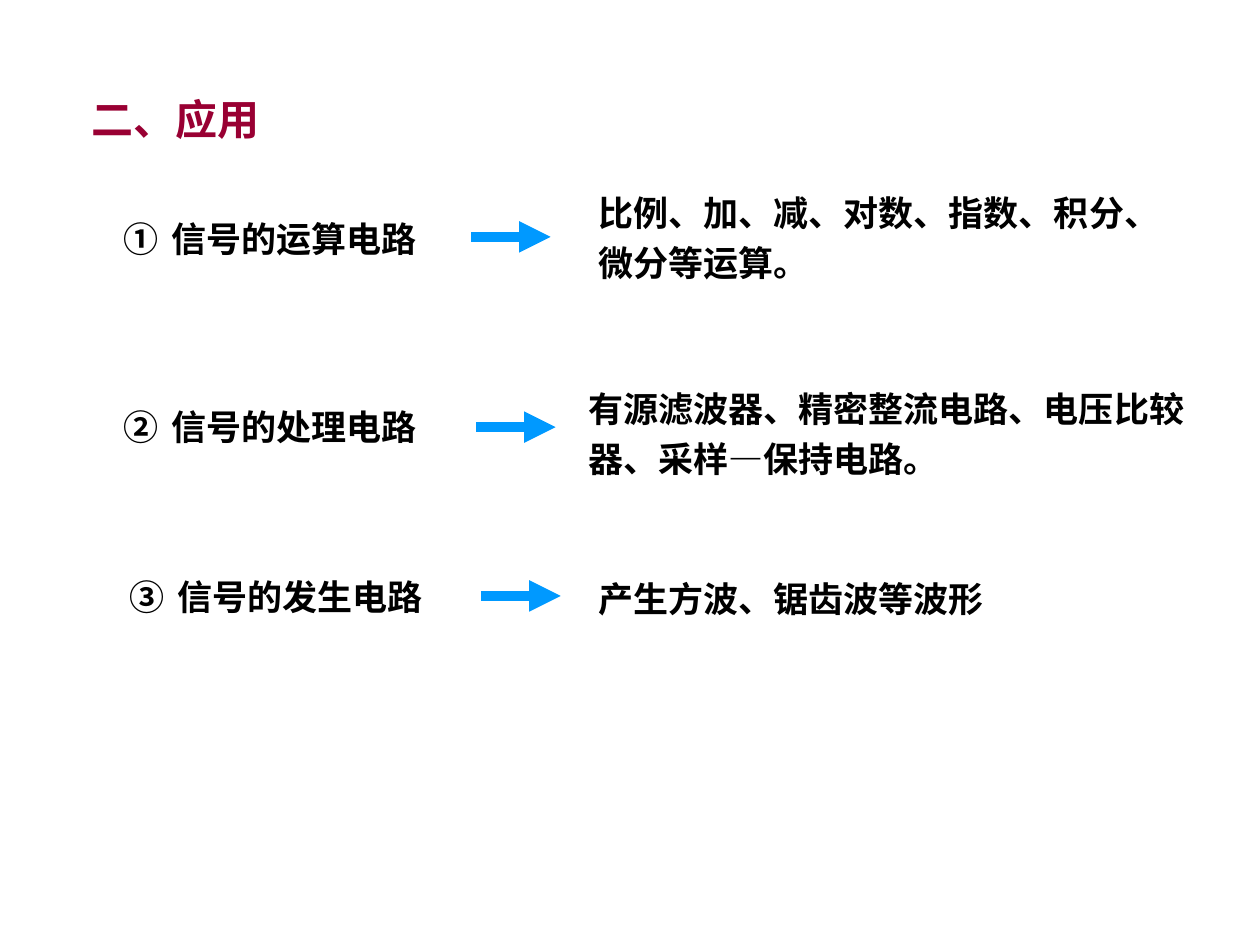
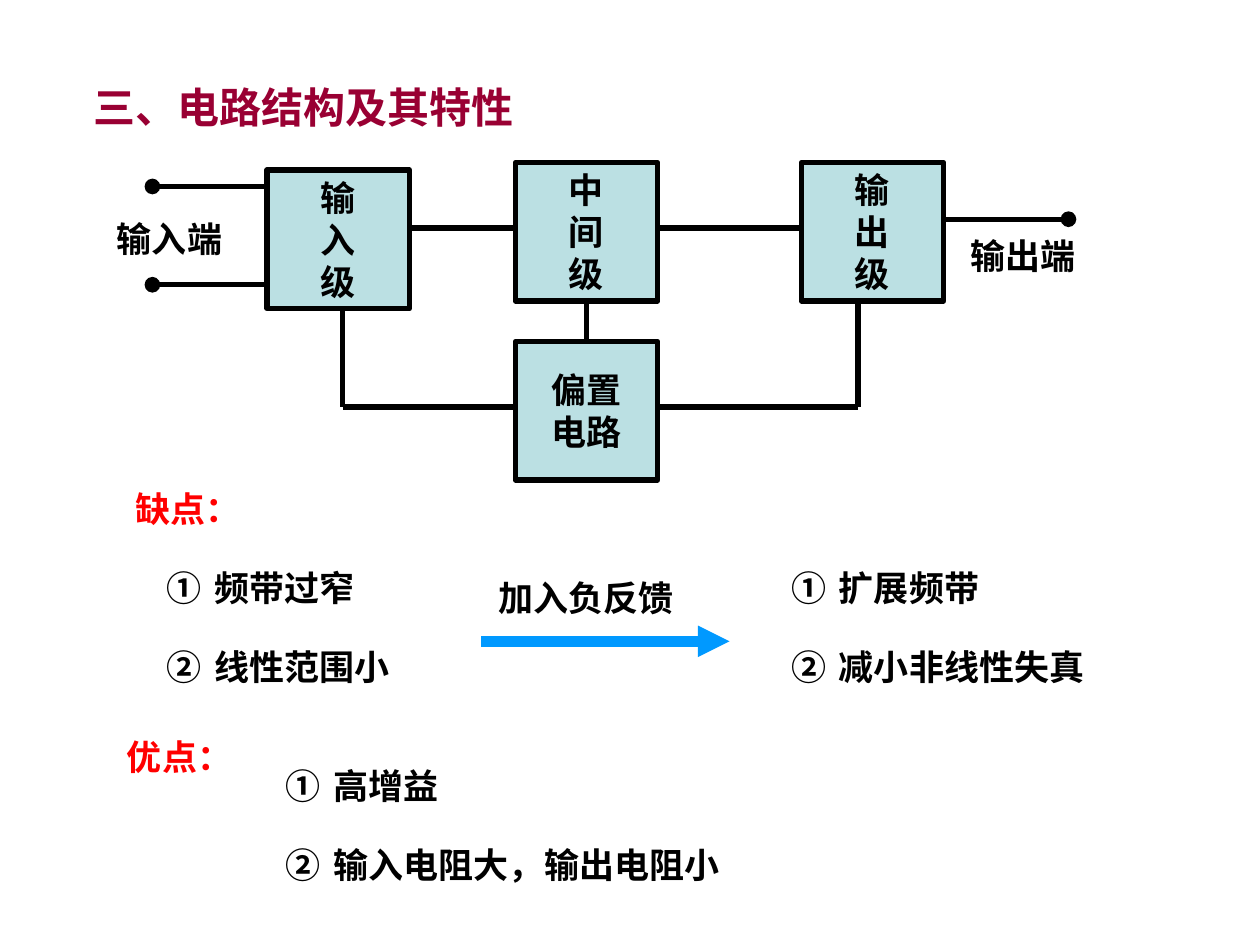
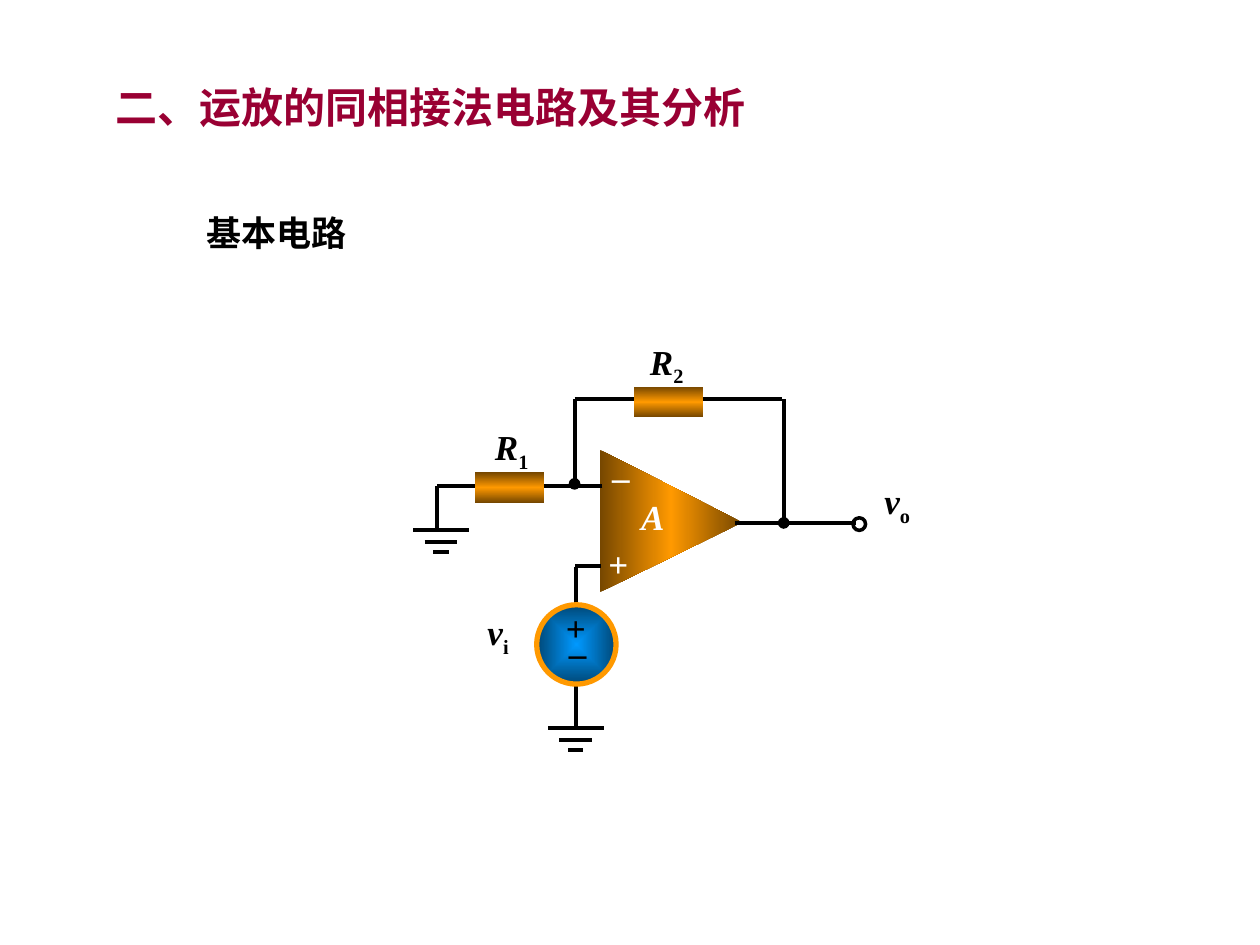
"""Three slides on operational amplifiers: uses, structure and the non-inverting circuit."""
from lxml import etree
from pptx import Presentation
from pptx import util as u
from pptx.dml.color import RGBColor
from pptx.enum import shapes, text
from pptx.oxml import parse_xml
from pptx.oxml.ns import nsdecls, qn

BLACK = RGBColor(0x00, 0x00, 0x00)
WHITE = RGBColor(0xFF, 0xFF, 0xFF)
RED = RGBColor(0xFF, 0x00, 0x00)
CRIMSON = RGBColor(0x99, 0x00, 0x33)
BLUE = RGBColor(0x00, 0x99, 0xFF)
NAVY = RGBColor(0x00, 0x47, 0x76)
PALE = RGBColor(0xBB, 0xE0, 0xE3)
ORANGE = RGBColor(0xFF, 0x99, 0x00)
BROWN = RGBColor(0x76, 0x47, 0x00)
SANS, SERIF, CHINESE = "Arial", "Times New Roman", "Noto Sans CJK SC"
LEFT, CENTER = text.PP_ALIGN.LEFT, text.PP_ALIGN.CENTER
TOP, MIDDLE = text.MSO_ANCHOR.TOP, text.MSO_ANCHOR.MIDDLE
GROW, FIXED = text.MSO_AUTO_SIZE.SHAPE_TO_FIT_TEXT, text.MSO_AUTO_SIZE.NONE
HANG = u.Inches(0.38)
SPACED = 1.2


def write(box, lines, color=BLACK, font=SANS, size=20, align=LEFT, anchor=TOP, spacing=None,
          number=0, wrap=True, fit=GROW, italic=False, subscript=""):
    frame = box.text_frame
    frame.word_wrap, frame.auto_size, frame.vertical_anchor = wrap, fit, anchor
    for index, line in enumerate(lines):
        para = frame.add_paragraph() if index else frame.paragraphs[0]
        para.alignment = align
        if spacing:
            para.line_spacing = spacing
        if number:
            props = para._p.get_or_add_pPr()
            props.set("marL", str(HANG))
            props.set("indent", str(-HANG))
            etree.SubElement(props, qn("a:buAutoNum"), type="circleNumDbPlain", startAt=str(number))
        for content, is_subscript in ((line, False), (subscript, True)):
            if content:
                span = para.add_run()
                span.text = content
                span.font.name, span.font.size, span.font.bold = font, u.Pt(size), True
                span.font.italic = italic and not is_subscript
                span.font.color.rgb = color
                if is_subscript:
                    span._r.get_or_add_rPr().set("baseline", "-25000")


def wire(page, start, end, color=BLACK, width=3, tip=None):
    line = page.shapes.add_connector(shapes.MSO_CONNECTOR.STRAIGHT, *map(u.Inches, start + end))
    line.line.color.rgb = color
    line.line.width = u.Pt(width)
    if tip:
        etree.SubElement(line.line._get_or_add_ln(), qn("a:tailEnd"), type=tip)
    etree.SubElement(line._element.spPr, qn("a:effectLst"))
    return line


deck = Presentation()
deck.slide_width, deck.slide_height = u.Inches(10), u.Inches(7.5)
pages = []
for heading, left, top in (
    ("二、应用", 0.63, 0.69),
    ("三、电路结构及其特性", 0.64, 0.6),
    ("二、运放的同相接法电路及其分析", 0.82, 0.6),
):
    page = deck.slides.add_slide(deck.slide_layouts[5])
    title = page.shapes.title
    title.left, title.top, title.width, title.height = map(u.Inches, (left, top, 6.23, 0.5))
    write(title, [heading], CRIMSON, SERIF, 24)
    pages.append(page)
uses, structure, circuit = pages

for number, (name, name_at, arrow_at, detail, detail_at) in enumerate((
    ("信号的运算电路", (0.88, 1.61), (3.74, 1.88),
     "比例、加、减、对数、指数、积分、微分等运算。", (4.65, 1.4, 4.8, 0.91)),
    ("信号的处理电路", (0.88, 3.1), (3.78, 3.39),
     "有源滤波器、精密整流电路、电压比较器、采样—保持电路。", (4.57, 2.96, 4.96, 0.87)),
    ("信号的发生电路", (0.93, 4.45), (3.82, 4.73),
     "产生方波、锯齿波等波形", (4.65, 4.47, 4.88, 0.5)),
), 1):
    name_box = uses.shapes.add_textbox(*map(u.Inches, name_at + (2.86, 0.5)))
    write(name_box, [name], spacing=SPACED, number=number)
    wire(uses, arrow_at, (arrow_at[0] + 0.63, arrow_at[1]), BLUE, 6, "triangle")
    detail_box = uses.shapes.add_textbox(*map(u.Inches, detail_at))
    write(detail_box, [detail], spacing=SPACED)

stages = {}
for lines, left, top in (
    (("输", "入", "级"), 2.12, 1.35),
    (("偏置", "电路"), 4.09, 2.71),
    (("中", "间", "级"), 4.09, 1.29),
    (("输", "出", "级"), 6.36, 1.29),
):
    stage = structure.shapes.add_shape(
        shapes.MSO_SHAPE.RECTANGLE, *map(u.Inches, (left, top, 1.13, 1.1)))
    stage.shadow.inherit = False
    stage.fill.solid()
    stage.fill.fore_color.rgb = PALE
    stage.line.color.rgb = BLACK
    stage.line.width = u.Pt(3)
    write(stage, lines, align=CENTER, anchor=MIDDLE, wrap=False, fit=FIXED)
    stages["".join(lines)] = stage

for start, end, tip in (
    ((2.12, 1.48), (1.21, 1.48), "oval"),
    ((2.12, 2.26), (1.21, 2.26), "oval"),
    ((7.49, 1.74), (8.48, 1.74), "oval"),
    ((3.25, 1.81), (4.09, 1.81), None),
    ((5.22, 1.81), (6.36, 1.81), None),
    ((2.72, 2.45), (2.72, 3.23), None),
    ((2.72, 3.23), (4.09, 3.23), None),
    ((5.22, 3.23), (6.81, 3.23), None),
    ((6.81, 2.39), (6.81, 3.23), None),
):
    wire(structure, start, end, tip=tip)
bias_wire = wire(structure, (4.66, 2.39), (4.66, 2.71))
bias_wire.begin_connect(stages["中间级"], 2)
bias_wire.end_connect(stages["偏置电路"], 0)
wire(structure, (3.82, 5.09), (5.79, 5.09), BLUE, 6, "triangle")

for label, at, style in (
    ("输入端", (0.83, 1.68, 1.18, 0.44), {}),
    ("输出端", (7.6, 1.81, 1.18, 0.44), {}),
    ("加入负反馈", (3.47, 4.53, 2.36, 0.44), {"align": CENTER}),
    ("缺点：", (0.98, 3.75, 1.02, 0.5), {"color": RED, "spacing": SPACED}),
    ("优点：", (0.91, 5.72, 1.73, 0.5), {"color": RED, "spacing": SPACED}),
):
    write(structure.shapes.add_textbox(*map(u.Inches, at)), [label], **style)

for left, top, items in (
    (1.22, 4.38, ("频带过窄", "线性范围小")),
    (6.18, 4.38, ("扩展频带", "减小非线性失真")),
    (2.17, 5.95, ("高增益", "输入电阻大，输出电阻小")),
):
    for row, item in enumerate(items):
        at = (left, top + row * 0.63, 3.75, 0.5)
        write(structure.shapes.add_textbox(*map(u.Inches, at)), [item],
              spacing=SPACED, number=row + 1)

subtitle = circuit.shapes.add_textbox(*map(u.Inches, (1.54, 1.56, 4.96, 0.45)))
write(subtitle, ["基本电路"], font=CHINESE, spacing=SPACED)

METAL = ((0, BROWN), (50, ORANGE), (100, BROWN))
GLOW = ((0, BLUE), (100, NAVY))
LINEAR = '<a:lin ang="5400000" scaled="1"/>'
RADIAL = '<a:path path="shape"><a:fillToRect l="50000" t="50000" r="50000" b="50000"/></a:path>'
parts = []
for kind, at, stops, direction in (
    (shapes.MSO_SHAPE.ISOSCELES_TRIANGLE, (4.76, 3.57, 1.13, 1.13), METAL, LINEAR),
    (shapes.MSO_SHAPE.RECTANGLE, (3.77, 3.75, 0.55, 0.24), METAL, LINEAR),
    (shapes.MSO_SHAPE.RECTANGLE, (5.03, 3.07, 0.55, 0.24), METAL, LINEAR),
    (shapes.MSO_SHAPE.OVAL, (4.26, 4.8, 0.63, 0.63), GLOW, RADIAL),
    (shapes.MSO_SHAPE.OVAL, (6.77, 4.11, 0.1, 0.1), None, None),
):
    part = circuit.shapes.add_shape(kind, *map(u.Inches, at))
    part.shadow.inherit = False
    part.line.fill.background()
    part.fill.background()
    if stops:
        marks = "".join(f'<a:gs pos="{share * 1000}"><a:srgbClr val="{color}"/></a:gs>'
                        for share, color in stops)
        gradient = parse_xml(f'<a:gradFill {nsdecls("a")} rotWithShape="1">'
                             f'<a:gsLst>{marks}</a:gsLst>{direction}</a:gradFill>')
        props = part._element.spPr
        props.replace(props.find(qn("a:noFill")), gradient)
    parts.append(part)
amplifier, input_resistor, feedback_resistor, source, terminal = parts
amplifier.rotation = 90
amplifier.adjustments[0] = 0.51
for ring, color, width in ((source, ORANGE, 3), (terminal, BLACK, 2)):
    ring.line.color.rgb = color
    ring.line.width = u.Pt(width)

wires = [
    ((4.77, 4.49), (4.56, 4.49), None),
    ((4.78, 3.86), (3.47, 3.86), None),
    ((5.83, 4.15), (6.79, 4.15), None),
    ((4.56, 3.17), (6.21, 3.17), None),
    ((6.22, 3.17), (6.22, 4.15), "oval"),
    ((4.56, 3.17), (4.56, 3.84), "oval"),
    ((3.47, 3.86), (3.47, 4.21), None),
    ((4.57, 4.5), (4.57, 5.78), None),
]
for center, top in ((3.5, 4.21), (4.57, 5.78)):
    for half, drop in ((0.22, 0), (0.13, 0.09), (0.06, 0.17)):
        wires.append(((center - half, top + drop), (center + half, top + drop), None))
for start, end, tip in wires:
    wire(circuit, start, end, width=2.25, tip=tip)
for part in (input_resistor, feedback_resistor, source, terminal):
    circuit.shapes._spTree.append(part._element)

for label, subscript, at in (
    ("v", "o", (6.92, 3.76, 0.42, 0.44)),
    ("v", "i", (3.77, 4.8, 0.38, 0.44)),
    ("R", "1", (3.83, 3.33, 0.48, 0.44)),
    ("R", "2", (5.06, 2.65, 0.48, 0.44)),
):
    write(circuit.shapes.add_textbox(*map(u.Inches, at)), [label],
          font=SERIF, wrap=False, italic=True, subscript=subscript)
for sign, at, style in (
    ("_", (4.76, 3.47, 0.34, 0.44), {"color": WHITE}),
    ("+", (4.73, 4.26, 0.36, 0.44), {"color": WHITE}),
    ("A", (4.99, 3.88, 0.39, 0.4), {"color": WHITE, "italic": True}),
    ("+", (4.39, 4.76, 0.36, 0.44), {"align": CENTER, "anchor": MIDDLE}),
    ("_", (4.4, 4.86, 0.37, 0.44), {"align": CENTER, "anchor": MIDDLE}),
):
    write(circuit.shapes.add_textbox(*map(u.Inches, at)), [sign], font=SERIF, wrap=False, **style)

deck.save("out.pptx")
